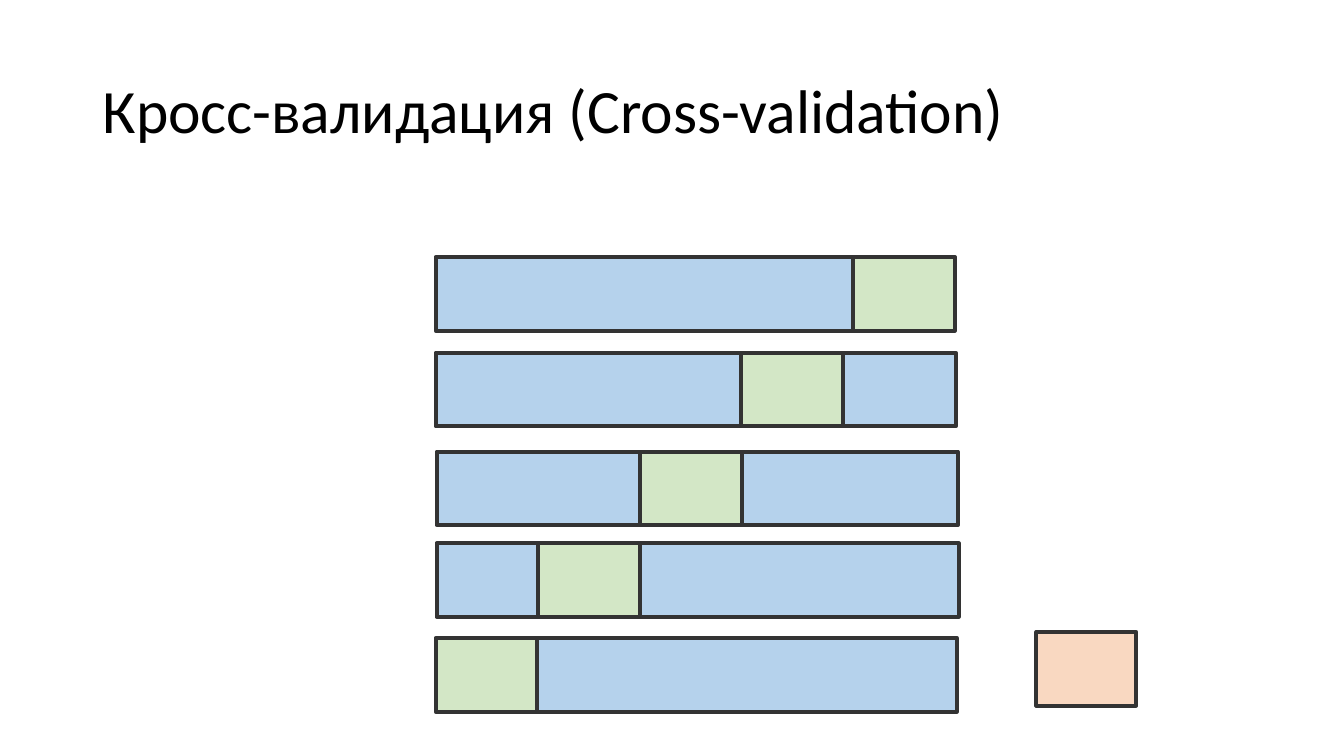
"""Build the cross-validation slide: five data splits and a separate test block."""
from lxml.etree import SubElement
from pptx import Presentation
from pptx.dml.color import RGBColor
from pptx.enum.shapes import MSO_SHAPE
from pptx.enum.text import MSO_ANCHOR
from pptx.oxml.ns import qn
from pptx.util import Inches, Pt

BLACK = RGBColor(0x00, 0x00, 0x00)
OUTLINE = RGBColor(0x33, 0x33, 0x33)
TRAINING = RGBColor(0x9D, 0xC3, 0xE6)
VALIDATION = RGBColor(0xC5, 0xE0, 0xB4)
TEST = RGBColor(0xF8, 0xCB, 0xAD)

BLOCK_HEIGHT = 0.73
FOLD_WIDTH = 1.01

presentation = Presentation()
presentation.slide_width = Inches(13.33)
presentation.slide_height = Inches(7.5)
slide = presentation.slides.add_slide(presentation.slide_layouts[6])


def add_block(left, top, width, color):
    shape = slide.shapes.add_shape(
        MSO_SHAPE.RECTANGLE, Inches(left), Inches(top), Inches(width), Inches(BLOCK_HEIGHT)
    )
    shape.shadow.inherit = False
    shape.fill.solid()
    shape.fill.fore_color.rgb = color
    color_element = shape.fill._xPr.find(qn("a:solidFill"))[0]
    SubElement(color_element, qn("a:alpha")).set("val", "75000")
    shape.line.color.rgb = OUTLINE
    shape.line.width = Pt(2.83)


title = slide.shapes.add_textbox(Inches(0.92), Inches(0.4), Inches(11.5), Inches(1.45))
title.text_frame.word_wrap = True
title.text_frame.vertical_anchor = MSO_ANCHOR.MIDDLE
paragraph = title.text_frame.paragraphs[0]
paragraph.line_spacing = 0.9
run = paragraph.add_run()
run.text = "Кросс-валидация (Cross-validation)"
run.font.name = "Calibri"
run.font.size = Pt(44)
run.font.color.rgb = BLACK

splits = [
    (2.55, 4.32, 8.46, 9.47),
    (3.5, 4.32, 7.35, 9.48),
    (4.48, 4.33, 6.35, 9.5),
    (5.39, 4.33, 5.34, 9.51),
    (6.33, 4.32, 4.32, 9.49),
]
for top, left, fold_left, right in splits:
    fold_right = fold_left + FOLD_WIDTH
    if fold_left > left:
        add_block(left, top, fold_left - left, TRAINING)
    if right - fold_right > 0.01:
        add_block(fold_right, top, right - fold_right, TRAINING)
    add_block(fold_left, top, FOLD_WIDTH, VALIDATION)

add_block(10.28, 6.27, 0.99, TEST)

presentation.save("out.pptx")
